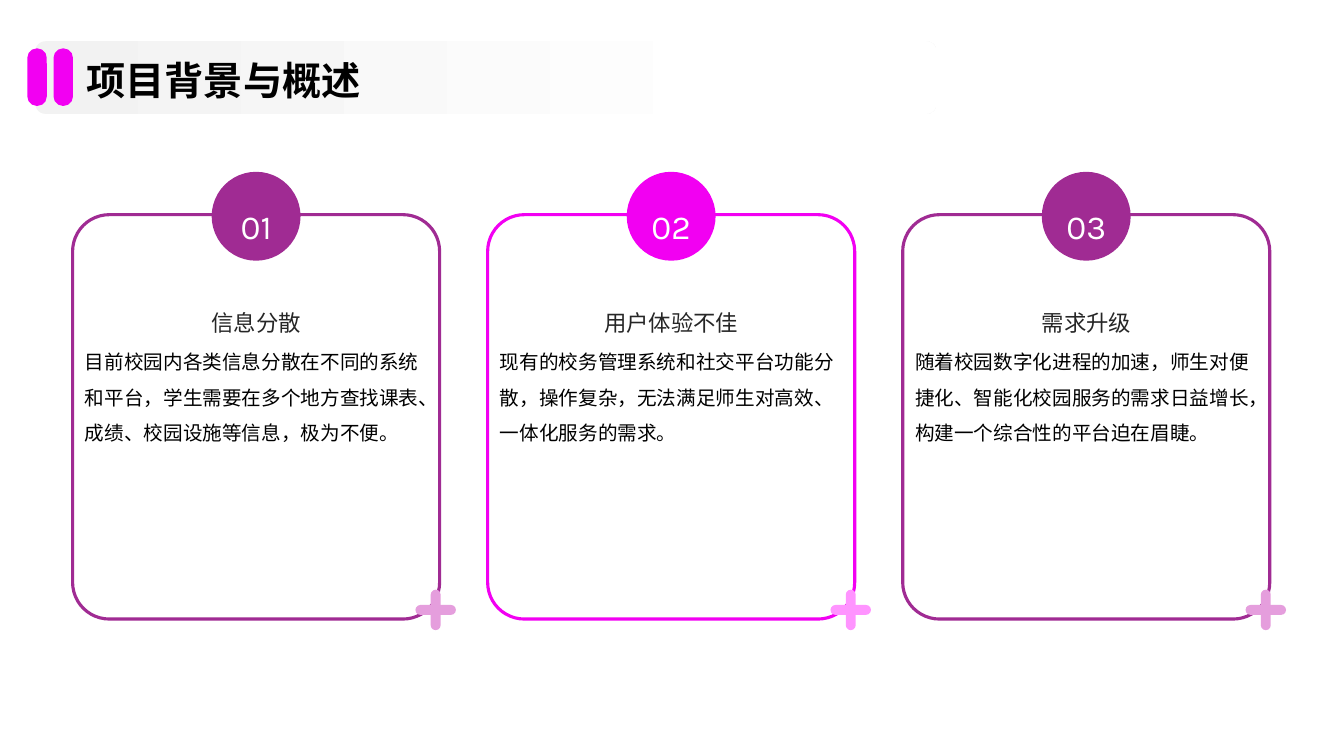
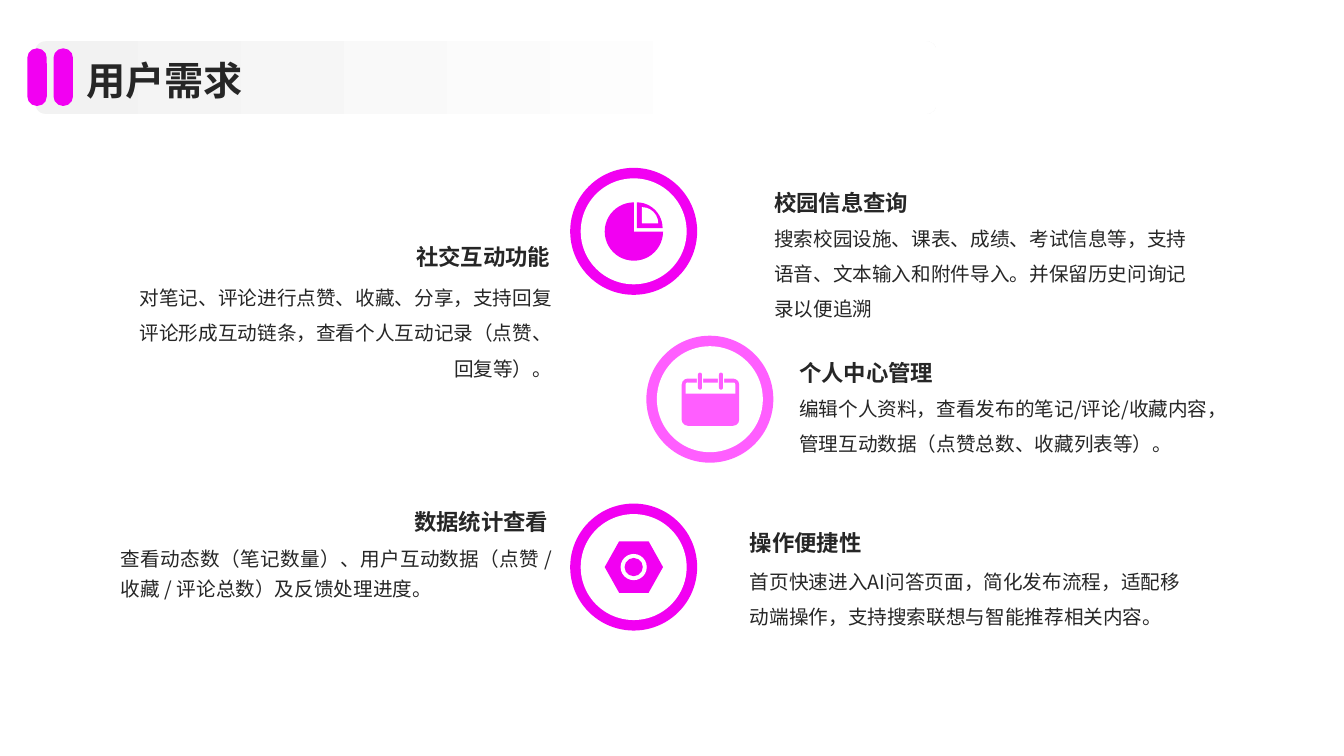
from lxml import etree
from pptx import Presentation
from pptx.dml.color import RGBColor
from pptx.enum.shapes import MSO_SHAPE
from pptx.enum.text import MSO_ANCHOR, MSO_AUTO_SIZE, PP_ALIGN
from pptx.oxml.ns import qn
from pptx.util import Cm, Pt

ROUND = MSO_SHAPE.ROUNDED_RECTANGLE
ROUND_TOP = MSO_SHAPE.ROUND_2_SAME_RECTANGLE
RECT = MSO_SHAPE.RECTANGLE
OVAL = MSO_SHAPE.OVAL
PIE = MSO_SHAPE.PIE
HEXAGON = MSO_SHAPE.HEXAGON
LEFT, CENTER, RIGHT, JUSTIFY = PP_ALIGN.LEFT, PP_ALIGN.CENTER, PP_ALIGN.RIGHT, PP_ALIGN.JUSTIFY
TOP, MIDDLE, BOTTOM = MSO_ANCHOR.TOP, MSO_ANCHOR.MIDDLE, MSO_ANCHOR.BOTTOM

FONT = "Noto Sans CJK SC"
NUMBER_FONT = "Karla"
COLORS = {
    "magenta": "F200F2",
    "pink": "FF5EFF",
    "light_pink": "FF94FF",
    "purple": "A02B93",
    "light_purple": "E59EDD",
    "band": "F2F2F2",
    "white": "FFFFFF",
    "black": "000000",
    "text": "262626",
}
RGB = {name: RGBColor.from_string(value) for name, value in COLORS.items()}


def add_shape(s, kind, box, fill, adj=(), line=None):
    """Add a flat preset shape; box is left, top, width, height in cm."""
    sp = s.shapes.add_shape(kind, *map(Cm, box))
    sp.shadow.inherit = False
    for i, value in enumerate(adj):
        sp.adjustments[i] = value
    sp.fill.solid()
    sp.fill.fore_color.rgb = RGB[fill]
    if line:
        sp.line.color.rgb = RGB[line]
        sp.line.width = Pt(2.25)
    else:
        sp.line.fill.background()
    return sp


def set_text(sp, text, size=14, color="text", bold=False, font=FONT,
             align=LEFT, anchor=TOP, spacing=1.5):
    tf = sp.text_frame
    tf.word_wrap = True
    tf.auto_size = MSO_AUTO_SIZE.NONE
    tf.margin_left = tf.margin_top = tf.margin_right = tf.margin_bottom = 0
    tf.vertical_anchor = anchor
    p = tf.paragraphs[0]
    p.alignment = align
    p.line_spacing = spacing
    r = p.add_run()
    r.text = text
    r.font.size = Pt(size)
    r.font.bold = bold
    r.font.name = font
    r.font.color.rgb = RGB[color]
    ea = etree.SubElement(r.font._element, qn("a:ea"))
    ea.set("typeface", font)


prs = Presentation()
prs.slide_width = Cm(33.87)
prs.slide_height = Cm(19.05)
layout = prs.slide_layouts[5]
for ph in list(layout.placeholders)[1:]:
    ph.element.getparent().remove(ph.element)

# Titles
slides = []
for title, color in (("项目背景与概述", "black"), ("用户需求", "text")):
    s = prs.slides.add_slide(layout)
    sp = s.shapes.title
    sp.left, sp.top, sp.width, sp.height = map(Cm, (2.18, 1.3, 29.64, 1.3))
    set_text(sp, title, size=28, color=color, bold=True, anchor=MIDDLE, spacing=1.1)
    slides.append(s)
overview, needs = slides

# Title band and bars, moved to the layout so that both slides share them
band = add_shape(overview, ROUND, (0.89, 1.04, 22.71, 1.83), "band", [0.14])
band.fill.gradient()
band.fill.gradient_angle = 0
for stop, color, position in zip(band.fill.gradient_stops, ("band", "white"), (0, 0.8)):
    stop.color.rgb = RGB[color]
    stop.position = position
bars = [add_shape(overview, ROUND, (left, 1.22, 0.49, 1.45), "magenta", [0.48])
        for left in (0.69, 1.35)]
for sp in (band, *bars):
    layout.shapes.element.append(sp.element)

# Slide 1: three numbered cards
CARD_W, CARD_H, CARD_TOP, CARD_STEP = 9.25, 10.19, 5.41, 10.46
BADGE = 2.24
PLUS, PLUS_BAR = 1.02, 0.25
cards = [
    ("信息分散", "目前校园内各类信息分散在不同的系统和平台，学生需要在多个地方查找课表、成绩、校园设施等信息，极为不便。",
     "purple", "light_purple"),
    ("用户体验不佳", "现有的校务管理系统和社交平台功能分散，操作复杂，无法满足师生对高效、一体化服务的需求。",
     "magenta", "light_pink"),
    ("需求升级", "随着校园数字化进程的加速，师生对便捷化、智能化校园服务的需求日益增长，构建一个综合性的平台迫在眉睫。",
     "purple", "light_purple"),
]
for i, (heading, body, color, plus_color) in enumerate(cards):
    left = 1.83 + i * CARD_STEP
    add_shape(overview, ROUND, (left, CARD_TOP, CARD_W, CARD_H), "white", [0.1], line=color)
    badge = add_shape(overview, OVAL,
                      (left + (CARD_W - BADGE) / 2, 4.33, BADGE, BADGE), color)
    set_text(badge, f"{i + 1:02}", size=24, color="white", font=NUMBER_FONT,
             align=CENTER, anchor=MIDDLE)
    sp = overview.shapes.add_textbox(Cm(left + 0.31), Cm(6.73), Cm(8.64), Cm(1.73))
    set_text(sp, heading, size=16, align=CENTER, anchor=BOTTOM)
    sp = overview.shapes.add_textbox(Cm(left + 0.31), Cm(8.53), Cm(8.64), Cm(6.63))
    set_text(sp, body, color="black")
    plus_left, plus_top, inset = left + 8.64, 14.86, (PLUS - PLUS_BAR) / 2
    add_shape(overview, ROUND, (plus_left, plus_top + inset, PLUS, PLUS_BAR), plus_color, [0.5])
    add_shape(overview, ROUND, (plus_left + inset, plus_top, PLUS_BAR, PLUS), plus_color, [0.5])

# Slide 2: ringed icons, each part placed from the ring's top left corner
RING, HOLE, RING_STEP = 3.2, 2.67, 4.23
pie_chart = [
    (PIE, (0.87, 0.87, 1.47, 1.47), "magenta", [0, 162]),
    (PIE, (1.03, 0.87, 1.3, 1.3), "magenta", [162, 0]),
    (PIE, (1.4, 0.99, 0.82, 0.82), "white", [162, 0]),
]
calendar = [
    (ROUND, (0.89, 1.08, 1.45, 1.19), "pink", [0.13]),
    (ROUND_TOP, (0.99, 1.18, 1.25, 0.28), "white", []),
]
for peg_left in (1.3, 1.83):
    calendar += [
        (RECT, (peg_left - 0.03, 1.06, 0.16, 0.14), "white", []),
        (ROUND, (peg_left, 0.93, 0.1, 0.43), "pink", [0.5]),
    ]
nut = [
    (HEXAGON, (0.87, 0.95, 1.47, 1.3), "magenta", [0.28]),
    (OVAL, (1.27, 1.27, 0.66, 0.66), "white", []),
    (OVAL, (1.37, 1.37, 0.46, 0.46), "magenta", []),
]
rings = [(14.37, "magenta", pie_chart), (16.29, "pink", calendar), (14.37, "magenta", nut)]
for i, (left, color, parts) in enumerate(rings):
    top = RING_STEP * (i + 1)
    inset = (RING - HOLE) / 2
    add_shape(needs, OVAL, (left, top, RING, RING), color)
    add_shape(needs, OVAL, (left + inset, top + inset, HOLE, HOLE), "white")
    for kind, (x, y, w, h), fill, adj in parts:
        add_shape(needs, kind, (left + x, top + y, w, h), fill, adj)

# Slide 2: heading left and bottom, body left and top, alignments, body line spacing
NOTE_W, HEADING_H, BODY_H = 10.87, 0.86, 3.23
notes = [
    (3, 6.81, 3.05, 6.91, RIGHT, RIGHT, 1.5, "社交互动功能",
     "对笔记、评论进行点赞、收藏、分享，支持回复评论形成互动链条，查看个人互动记录（点赞、回复等）。"),
    (19.51, 5.44, 19.51, 5.41, LEFT, LEFT, 1.5, "校园信息查询",
     "搜索校园设施、课表、成绩、考试信息等，支持语音、文本输入和附件导入。并保留历史问询记录以便追溯"),
    (20.14, 9.73, 20.14, 9.7, LEFT, LEFT, 1.5, "个人中心管理",
     "编辑个人资料，查看发布的笔记/评论/收藏内容，管理互动数据（点赞总数、收藏列表等）。"),
    (2.95, 13.49, 3.05, 13.59, RIGHT, JUSTIFY, Pt(22), "数据统计查看",
     "查看动态数（笔记数量）、用户互动数据（点赞 / 收藏 / 评论总数）及反馈处理进度。"),
    (18.9, 14.02, 18.9, 14.07, LEFT, LEFT, 1.5, "操作便捷性",
     "首页快速进入AI问答页面，简化发布流程，适配移动端操作，支持搜索联想与智能推荐相关内容。"),
]
for head_left, head_bottom, body_left, body_top, head_align, body_align, spacing, heading, body in notes:
    sp = needs.shapes.add_textbox(Cm(head_left), Cm(head_bottom - HEADING_H), Cm(NOTE_W), Cm(HEADING_H))
    set_text(sp, heading, size=16, bold=True, align=head_align, anchor=BOTTOM, spacing=1.3)
    sp = needs.shapes.add_textbox(Cm(body_left), Cm(body_top), Cm(NOTE_W), Cm(BODY_H))
    set_text(sp, body, align=body_align, spacing=spacing)

prs.save("out.pptx")
